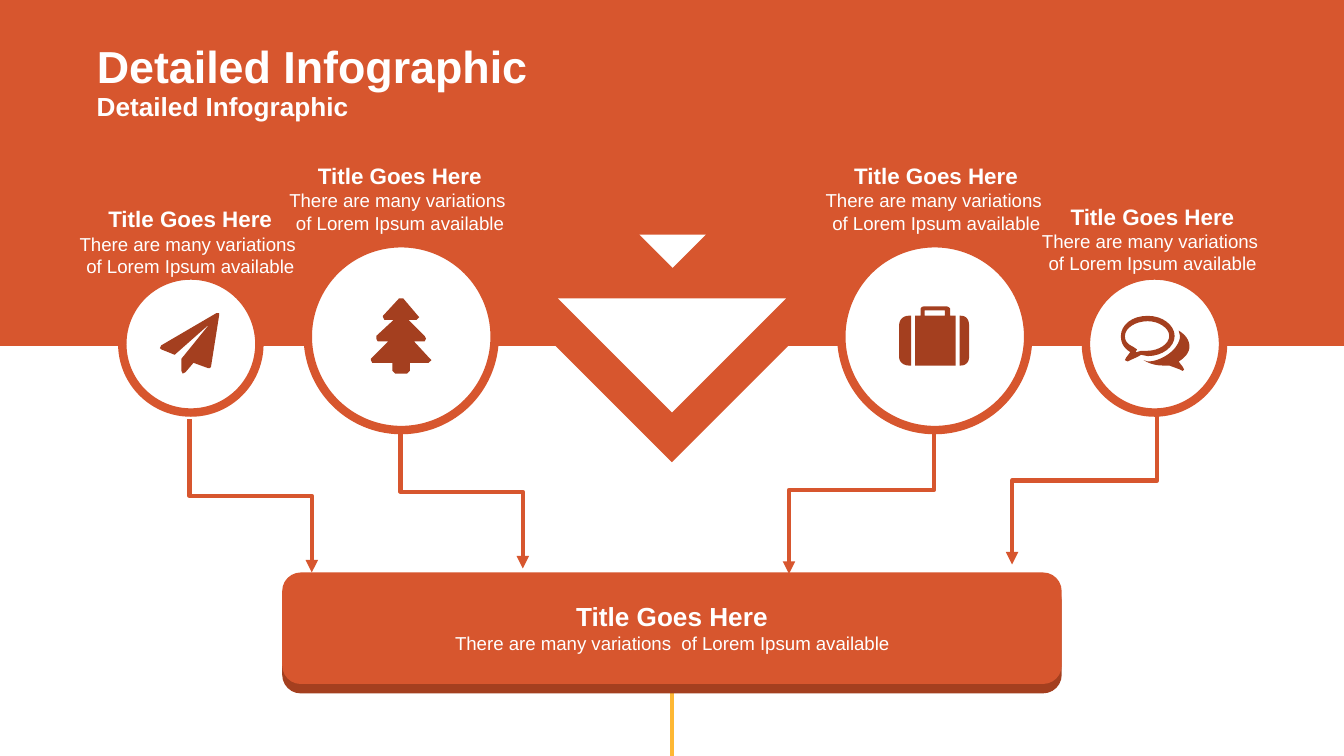
from lxml import etree
from pptx import Presentation
from pptx import util as u
from pptx.dml.color import RGBColor
from pptx.enum import shapes, text
from pptx.oxml.ns import qn

WIDTH = 10
HEIGHT = WIDTH * 9 / 16
COLORS = {"orange": "D7562E", "rust": "A43F1F", "white": "FFFFFF", "yellow": "FEB834"}
FONT = "Arial"

# Icon contours: a pair is a corner, six numbers are a cubic curve.
TREE = [[
    (3.19, 2.7), (3.05, 2.7), (3.05, 2.76), (3.03, 2.78), (2.94, 2.78), (2.92, 2.76),
    (2.92, 2.7), (2.77, 2.7), (2.76, 2.68), (2.76, 2.67), (2.89, 2.54), (2.81, 2.54),
    (2.8, 2.52), (2.8, 2.5), (2.93, 2.38), (2.86, 2.38), (2.85, 2.36), (2.85, 2.35),
    (2.97, 2.22), (3, 2.22), (3.11, 2.35), (3.12, 2.36), (3.1, 2.38), (3.04, 2.38),
    (3.16, 2.5), (3.17, 2.52), (3.16, 2.54), (3.08, 2.54), (3.2, 2.67), (3.21, 2.68),
]]
SUITCASE = [
    [(6.78, 2.72), (6.76, 2.72), (6.72, 2.72, 6.69, 2.69, 6.69, 2.66), (6.69, 2.42),
     (6.69, 2.38, 6.72, 2.35, 6.76, 2.35), (6.78, 2.35)],
    [(7.11, 2.72), (6.81, 2.72), (6.81, 2.35), (6.85, 2.35), (6.85, 2.3),
     (6.85, 2.29, 6.86, 2.28, 6.88, 2.28), (7.04, 2.28),
     (7.05, 2.28, 7.07, 2.29, 7.07, 2.3), (7.07, 2.35), (7.11, 2.35)],
    [(7.03, 2.35), (7.03, 2.31), (6.88, 2.31), (6.88, 2.35)],
    [(7.21, 2.66), (7.21, 2.69, 7.19, 2.72, 7.15, 2.72), (7.14, 2.72), (7.14, 2.35),
     (7.15, 2.35), (7.19, 2.35, 7.21, 2.38, 7.21, 2.42)],
]
PAPER_PLANE = [[
    (1.63, 2.35), (1.57, 2.73), (1.56, 2.74), (1.55, 2.74), (1.44, 2.7), (1.38, 2.77),
    (1.36, 2.78), (1.35, 2.76), (1.35, 2.67), (1.56, 2.41), (1.3, 2.64), (1.2, 2.6),
    (1.19, 2.59), (1.2, 2.57), (1.61, 2.33), (1.63, 2.33),
]]
SPEECH_BUBBLES = [
    [(8.74, 2.5), (8.74, 2.58, 8.65, 2.65, 8.54, 2.65), (8.49, 2.64),
     (8.46, 2.66, 8.43, 2.67, 8.41, 2.68), (8.39, 2.69), (8.37, 2.68), (8.38, 2.66),
     (8.41, 2.62), (8.36, 2.59, 8.34, 2.55, 8.34, 2.5),
     (8.34, 2.42, 8.42, 2.35, 8.54, 2.35), (8.65, 2.35, 8.74, 2.42, 8.74, 2.5)],
    [(8.37, 2.5), (8.37, 2.54, 8.39, 2.56, 8.43, 2.58), (8.46, 2.6), (8.45, 2.62),
     (8.46, 2.62), (8.49, 2.61), (8.54, 2.61), (8.62, 2.61, 8.7, 2.56, 8.7, 2.5),
     (8.7, 2.44, 8.62, 2.39, 8.54, 2.39), (8.45, 2.39, 8.37, 2.44, 8.37, 2.5)],
    [(8.8, 2.73), (8.81, 2.75), (8.8, 2.76), (8.78, 2.75), (8.7, 2.72), (8.65, 2.72),
     (8.59, 2.72, 8.54, 2.7, 8.51, 2.68), (8.54, 2.69),
     (8.6, 2.69, 8.66, 2.66, 8.7, 2.63), (8.74, 2.6, 8.78, 2.55, 8.78, 2.5),
     (8.77, 2.46), (8.82, 2.49, 8.85, 2.53, 8.85, 2.58),
     (8.85, 2.62, 8.82, 2.66, 8.77, 2.69)],
]

# Left, top, diameter
CIRCLES = [(2.29, 1.81, 1.39), (0.91, 2.05, 1.02), (6.26, 1.81, 1.39), (8.08, 2.05, 1.02)]
# Start x, start y, end x, end y
ARROWS = [(8.61, 2.95, 7.53, 4.2), (1.41, 3.12, 2.32, 4.26),
          (6.95, 3.02, 5.87, 4.27), (2.98, 3.09, 3.89, 4.23)]
# Left, top
CAPTIONS = [(0.42, 1.48), (1.98, 1.16), (7.58, 1.46), (5.97, 1.16)]


def rgb(name):
    return RGBColor.from_string(COLORS[name])


def paint(shape, color, outline=None):
    shape.shadow.inherit = False
    shape.fill.solid()
    shape.fill.fore_color.rgb = rgb(color)
    if outline:
        shape.line.color.rgb = rgb(outline)
        shape.line.width = u.Pt(4.5)
    else:
        shape.line.fill.background()


def add_preset(parent, preset, box, color, outline=None):
    shape = parent.add_shape(preset, *map(u.Inches, box))
    paint(shape, color, outline)
    return shape


def style_line(line, color):
    line.line.color.rgb = rgb(color)
    line.line.width = u.Pt(2.25)
    etree.SubElement(line._element.spPr, qn("a:effectLst"))


def add_arrow(slide, x1, y1, x2, y2):
    """Elbow that leaves downwards: a horizontal elbow turned a quarter about its centre."""
    mid_x, mid_y = (x1 + x2) / 2, (y1 + y2) / 2
    half_w, half_h = (y2 - y1) / 2, (x1 - x2) / 2
    ends = (mid_x - half_w, mid_y - half_h, mid_x + half_w, mid_y + half_h)
    arrow = slide.shapes.add_connector(shapes.MSO_CONNECTOR.ELBOW, *map(u.Inches, ends))
    arrow._element.spPr.find(qn("a:xfrm")).set("rot", str(90 * 60000))
    style_line(arrow, "orange")
    etree.SubElement(arrow.line._get_or_add_ln(), qn("a:tailEnd"), type="triangle")


def flatten(contour, steps=8):
    """Turn corners and cubic curves into a list of points in EMU."""
    points = []
    for part in contour:
        if len(part) == 2:
            points.append(part)
            continue
        bends = [points[-1], part[:2], part[2:4], part[4:]]
        for step in range(1, steps + 1):
            t = step / steps
            weights = ((1 - t) ** 3, 3 * t * (1 - t) ** 2, 3 * t * t * (1 - t), t ** 3)
            points.append(tuple(sum(w * p[axis] for w, p in zip(weights, bends))
                                for axis in (0, 1)))
    return [(u.Inches(x), u.Inches(y)) for x, y in points]


def add_icon(slide, contours):
    first, *others = map(flatten, contours)
    builder = slide.shapes.build_freeform(*first[0], scale=1.0)
    builder.add_line_segments(first[1:], close=True)
    for contour in others:
        builder.move_to(*contour[0])
        builder.add_line_segments(contour[1:], close=True)
    paint(builder.convert_to_shape(), "rust")


def add_run(paragraph, words, size, bold):
    run = paragraph.add_run()
    run.text = words
    run.font.name, run.font.size, run.font.bold = FONT, u.Pt(size), bold
    run.font.color.rgb = rgb("white")


def fill_heading(shape, box, words, size):
    shape.left, shape.top, shape.width, shape.height = map(u.Inches, box)
    frame = shape.text_frame
    frame.margin_left = frame.margin_top = frame.margin_right = frame.margin_bottom = 0
    frame.vertical_anchor = text.MSO_ANCHOR.MIDDLE
    frame.auto_size = text.MSO_AUTO_SIZE.NONE
    frame.word_wrap = True
    frame.paragraphs[0].alignment = text.PP_ALIGN.LEFT
    add_run(frame.paragraphs[0], words, size, True)


def add_caption(slide, box, title_size, lines):
    frame = slide.shapes.add_textbox(*map(u.Inches, box)).text_frame
    frame.word_wrap = True
    title, body = frame.paragraphs[0], frame.add_paragraph()
    title.alignment = body.alignment = text.PP_ALIGN.CENTER
    add_run(title, "Title Goes Here", title_size, True)
    for number, line in enumerate(lines):
        if number:
            body.add_line_break()
        add_run(body, line, 10, False)


def main():
    deck = Presentation()
    deck.slide_width, deck.slide_height = u.Inches(WIDTH), u.Inches(HEIGHT)
    slide = deck.slides.add_slide(deck.slide_layouts[5])
    preset = shapes.MSO_SHAPE

    stem = slide.shapes.add_connector(shapes.MSO_CONNECTOR.STRAIGHT,
                                      *map(u.Inches, (WIDTH / 2, 5.14, WIDTH / 2, HEIGHT)))
    style_line(stem, "yellow")
    banner = add_preset(slide.shapes, preset.DOWN_ARROW_CALLOUT,
                        (0, -0.02, WIDTH, 3.46), "orange")
    for index, ratio in enumerate((0.25, 0.25, 0.25, 0.75)):
        banner.adjustments[index] = ratio

    title = slide.shapes.title
    slide.shapes._spTree.append(title._element)  # bring in front of the banner
    fill_heading(title, (0.72, 0.29, 6.17, 0.39), "Detailed Infographic", 24)
    fill_heading(slide.shapes.add_textbox(0, 0, 0, 0), (0.72, 0.68, 4.5, 0.22),
                 "Detailed Infographic", 14)

    for box in ((4.4, 1.62, 1.2, 1.2), (4.83, 1.57, 0.35, 0.35)):
        add_preset(slide.shapes, preset.RIGHT_TRIANGLE, box, "white").rotation = 315
    for arrow in ARROWS:
        add_arrow(slide, *arrow)
    panel = slide.shapes.add_group_shape()
    for top, color in ((4.33, "rust"), (4.26, "orange")):
        add_preset(panel.shapes, preset.ROUNDED_RECTANGLE, (2.1, top, 5.8, 0.83), color)
    for left, top, size in CIRCLES:
        add_preset(slide.shapes, preset.OVAL, (left, top, size, size), "white", "orange")
    for icon in (TREE, SUITCASE, PAPER_PLANE, SPEECH_BUBBLES):
        add_icon(slide, icon)

    add_caption(slide, (2.81, 4.42, 4.38, 0.5), 14,
                ["There are many variations  of Lorem Ipsum available"])
    for left, top in CAPTIONS:
        add_caption(slide, (left, top, 1.99, 0.64), 12,
                    ["There are many variations ", "of Lorem Ipsum available"])
    deck.save("out.pptx")


if __name__ == "__main__":
    main()
